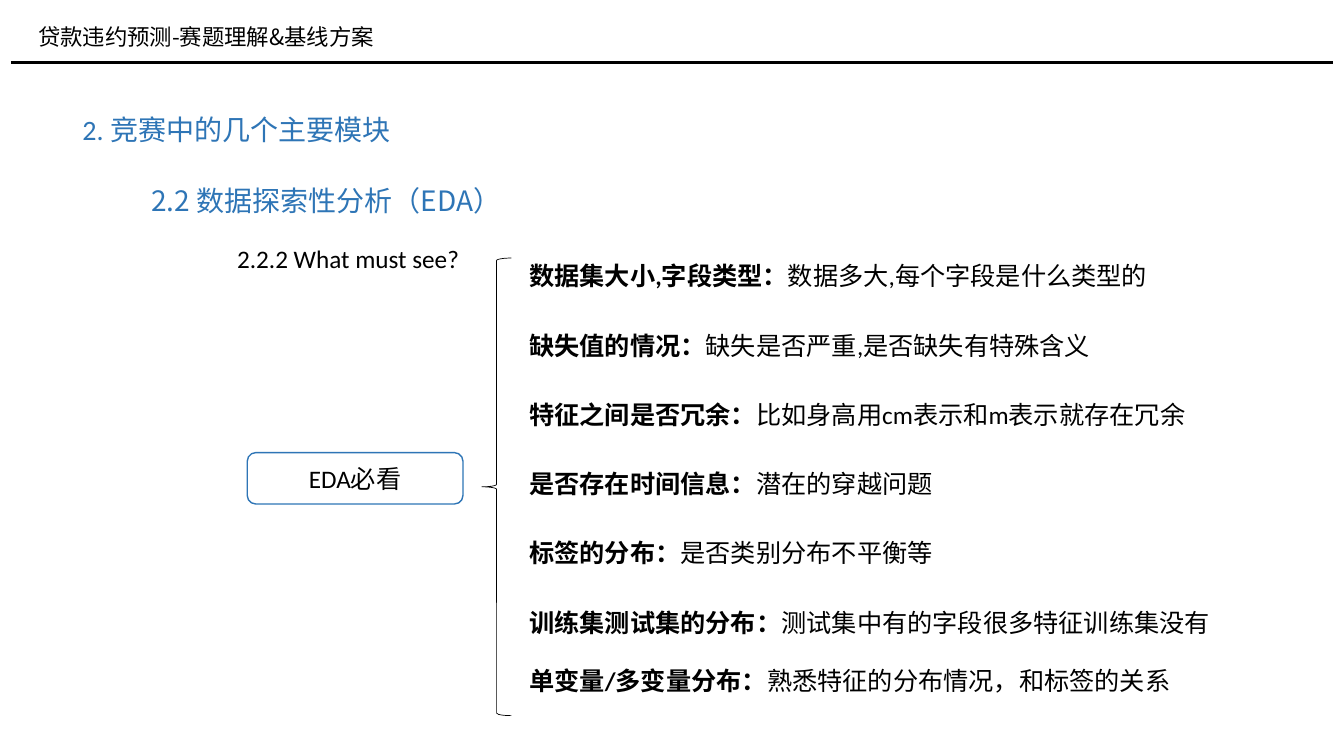
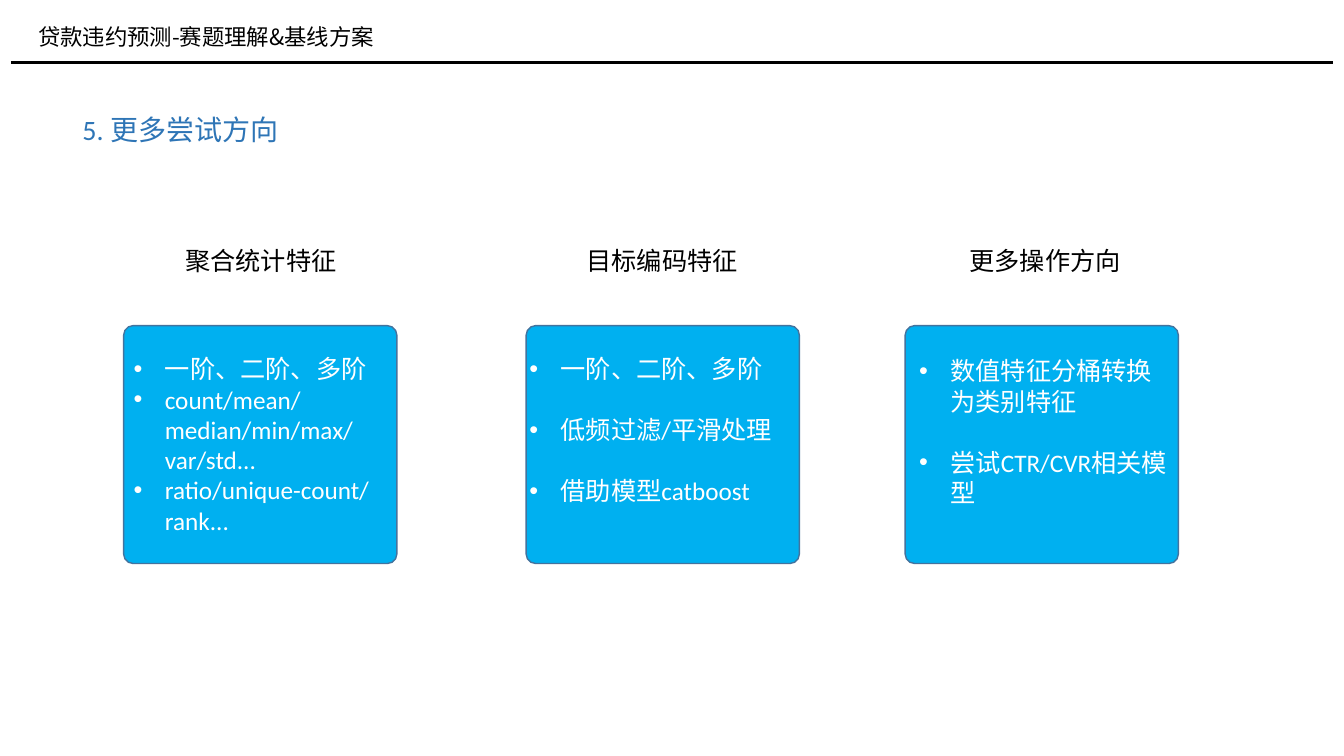
from dataclasses import dataclass

from lxml import etree
from pptx import Presentation
from pptx.dml.color import RGBColor
from pptx.enum.shapes import MSO_CONNECTOR, MSO_SHAPE
from pptx.enum.text import MSO_ANCHOR, MSO_AUTO_SIZE, PP_ALIGN
from pptx.oxml.ns import qn
from pptx.util import Inches, Pt

ROUND, BRACE = MSO_SHAPE.ROUNDED_RECTANGLE, MSO_SHAPE.LEFT_BRACE
LINE = MSO_CONNECTOR.STRAIGHT
GROW = MSO_AUTO_SIZE.SHAPE_TO_FIT_TEXT
MID, MIDDLE = PP_ALIGN.CENTER, MSO_ANCHOR.MIDDLE


@dataclass
class Theme:
    ink: RGBColor = RGBColor.from_string("000000")
    blue: RGBColor = RGBColor.from_string("2E75B6")
    card: RGBColor = RGBColor.from_string("00B0F0")
    edge: RGBColor = RGBColor.from_string("43739E")
    white: RGBColor = RGBColor.from_string("FFFFFF")
    latin: str = "Calibri"
    asian: str = "Noto Sans CJK SC"
    head: int = 16
    title: int = 20
    body: int = 18


look = Theme()
deck = Presentation()
deck.slide_width, deck.slide_height = Inches(13.33), Inches(7.5)
COL, ROW = deck.slide_width / 100, deck.slide_height / 100


def shape(slide, kind, x, y, w, h, line, width, fill=None):
    item = slide.shapes.add_shape(kind, *map(round, (x * COL, y * ROW, w * COL, h * ROW)))
    item.shadow.inherit = False
    item.line.color.rgb = line
    item.line.width = Pt(width)
    if fill is None:
        item.fill.background()
    else:
        item.fill.solid()
        item.fill.fore_color.rgb = fill
    return item


def text(slide, x, y, w, h, paras, size=look.body, color=look.ink, face=look.latin,
         wrap=True, mark=False, gap=0, lead=None, host=None):
    if host is None:
        host = slide.shapes.add_textbox(*map(round, (x * COL, y * ROW, w * COL, h * ROW)))
        host.text_frame.auto_size = GROW
    frame = host.text_frame
    frame.word_wrap = wrap
    for i, runs in enumerate(paras):
        para = frame.add_paragraph() if i else frame.paragraphs[0]
        if lead:
            para.line_spacing = Pt(lead)
        if i and gap:
            para.space_before = Pt(gap)
        if mark:
            props = para._p.get_or_add_pPr()
            props.set("marL", str(Inches(0.31)))
            props.set("indent", str(-Inches(0.31)))
            etree.SubElement(props, qn("a:buFont")).set("typeface", "Arial")
            etree.SubElement(props, qn("a:buChar")).set("char", "•")
        for words, bold in runs:
            run = para.add_run()
            run.text = words
            run.font.size = Pt(size)
            run.font.bold = bold
            run.font.color.rgb = color
            run.font.name = face
            asian = etree.Element(qn("a:ea"))
            asian.set("typeface", look.asian)
            run.font._element.find(qn("a:latin")).addnext(asian)
    return host


pages = []
for title in ("2. 竞赛中的几个主要模块", "5. 更多尝试方向"):
    page = deck.slides.add_slide(deck.slide_layouts[6])
    rule = page.shapes.add_connector(
        LINE, *map(round, (0.82 * COL, 8.27 * ROW, 99.18 * COL, 8.27 * ROW)))
    rule.line.color.rgb = look.ink
    rule.line.width = Pt(2.25)
    etree.SubElement(rule._element.spPr, qn("a:effectLst"))
    text(page, 2.1, 2.4, 37.35, 4.93, [[("贷款违约预测-赛题理解&基线方案", False)]],
         look.head, face=look.asian)
    text(page, 5.4, 14.27, 53.3, 5.87, [[(title, False)]], look.title, look.blue)
    pages.append(page)
eda, more = pages

text(eda, 10.5, 21.6, 60.7, 7.87, [[("2.2 数据探索性分析（EDA）", False)]],
     look.title, look.blue, look.asian, lead=35)
text(eda, 16.9, 31.47, 27.2, 5.33, [[("2.2.2 What must see?", False)]])
spot = (18.4, 59.87, 16.05, 6.8)
label = shape(eda, ROUND, *spot, look.blue, 1)
text(eda, *spot, [[("EDA必看", False)]], host=label)
label.text_frame.paragraphs[0].alignment = MID
label.text_frame.vertical_anchor = MIDDLE
shape(eda, BRACE, 35.85, 34.13, 2.2, 60.53, look.ink, 0.5)

checks = [
    ("数据集大小,字段类型：", "数据多大,每个字段是什么类型的"),
    ("缺失值的情况：", "缺失是否严重,是否缺失有特殊含义"),
    ("特征之间是否冗余：", "比如身高用cm表示和m表示就存在冗余"),
    ("是否存在时间信息：", "潜在的穿越问题"),
    ("标签的分布：", "是否类别分布不平衡等"),
    ("训练集测试集的分布：", "测试集中有的字段很多特征训练集没有"),
    ("单变量/多变量分布：", "熟悉特征的分布情况，和标签的关系"),
]
tops = [33.8 + 9.17 * i for i in range(6)] + [87.33]
for top, (name, note) in zip(tops, checks):
    text(eda, 38.65, top, 61, 5.33, [[(name, True), (note, False)]])

cards = [
    (9.2, 9.2, 13.05, 46.13, 0, "聚合统计特征",
     ["一阶、二阶、多阶", "count/mean/median/min/max/var/std...", "ratio/unique-count/rank..."]),
    (39.15, 38.65, 42.9, 46.13, 22, "目标编码特征",
     ["一阶、二阶、多阶", "低频过滤/平滑处理", "借助模型catboost"]),
    (67.35, 67.65, 71.4, 46.4, 22, "更多操作方向",
     ["数值特征分桶转换为类别特征", "尝试CTR/CVR相关模型"]),
]
for left, inner, head, top, gap, name, points in cards:
    panel = shape(more, ROUND, left, 43.07, 20.33, 31.47, look.edge, 1, look.card)
    panel.adjustments[0] = 0.04
    text(more, inner, top, 20.33, 25, [[(point, False)] for point in points],
         color=look.white, mark=True, gap=gap)
    text(more, head, 31.73, 12.75, 5.33, [[(name, False)]], wrap=False)

deck.save("out.pptx")
